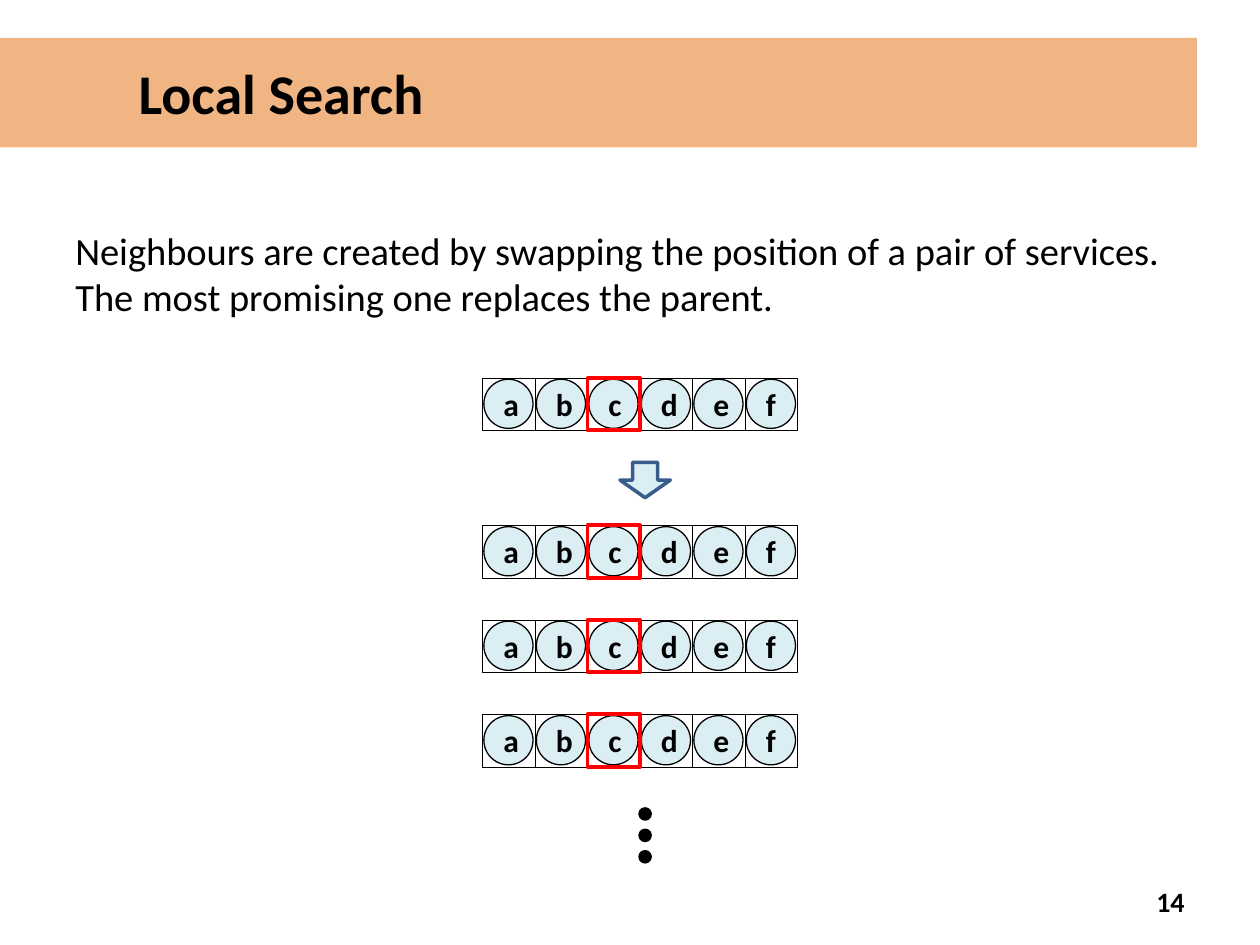
from lxml import etree
from pptx import Presentation
from pptx.dml.color import RGBColor
from pptx.enum.shapes import MSO_SHAPE
from pptx.enum.text import MSO_ANCHOR, PP_ALIGN
from pptx.oxml.ns import qn
from pptx.util import Inches, Pt

RECTANGLE = MSO_SHAPE.RECTANGLE
OVAL = MSO_SHAPE.OVAL
RIGHT_ARROW = MSO_SHAPE.RIGHT_ARROW
LEFT = PP_ALIGN.LEFT
CENTER = PP_ALIGN.CENTER
RIGHT = PP_ALIGN.RIGHT
TOP = MSO_ANCHOR.TOP
MIDDLE = MSO_ANCHOR.MIDDLE

BLACK = RGBColor(0x00, 0x00, 0x00)
WHITE = RGBColor(0xFF, 0xFF, 0xFF)
RED = RGBColor(0xFF, 0x00, 0x00)
ORANGE = RGBColor(0xE4, 0x6C, 0x0A)
PALE_BLUE = RGBColor(0xDB, 0xEE, 0xF4)
DARK_BLUE = RGBColor(0x38, 0x5D, 0x8A)

SERVICES = "abcdef"
HIGHLIGHTED = SERVICES.index("c")
ROW_LEFT = 3.83
PARENT_TOP = 3
NEIGHBOUR_TOPS = [4.17 + 0.75 * index for index in range(3)]
CELL = 2.5 / 6
CIRCLE = 0.39
CIRCLE_INSET = 0.01
DOT = 0.08


class SlideBuilder:
    font_name = "Calibri"

    def __init__(self, slide):
        self.slide = slide

    def set_text(self, shape, text, size, bold, alignment, anchor=MIDDLE):
        text_frame = shape.text_frame
        text_frame.word_wrap = True
        text_frame.vertical_anchor = anchor
        text_frame.text = text
        paragraph = text_frame.paragraphs[0]
        paragraph.alignment = alignment
        font = paragraph.runs[0].font
        font.name = self.font_name
        font.size = Pt(size)
        font.bold = bold
        font.color.rgb = BLACK

    def text(self, box, text, size, bold=False, alignment=LEFT, anchor=TOP):
        shape = self.slide.shapes.add_textbox(*map(Inches, box))
        self.set_text(shape, text, size, bold, alignment, anchor)

    def shape(self, kind, box, fill=None, line=None, width=0, parent=None):
        shapes = (parent or self.slide).shapes
        shape = shapes.add_shape(kind, *map(Inches, box))
        shape.shadow.inherit = False
        if fill is None:
            shape.fill.background()
        else:
            shape.fill.solid()
            shape.fill.fore_color.rgb = fill
        if line is None:
            shape.line.fill.background()
        else:
            shape.line.color.rgb = line
            shape.line.width = Pt(width)
        return shape

    def title(self, box, text):
        band = self.shape(RECTANGLE, box, ORANGE)
        color = band.element.spPr.find(qn("a:solidFill")).find(qn("a:srgbClr"))
        etree.SubElement(color, qn("a:alpha")).set("val", "50000")
        self.set_text(band, text, 32, True, LEFT)
        band.text_frame.margin_left = Inches(1.1)

    def service_row(self, top):
        group = self.slide.shapes.add_group_shape()
        lefts = [ROW_LEFT + CELL * index for index in range(len(SERVICES))]
        for left in lefts:
            self.shape(RECTANGLE, (left, top, CELL, CELL), WHITE, BLACK, 0.25, group)
        for left, service in zip(lefts, SERVICES):
            box = (left + CIRCLE_INSET, top + CIRCLE_INSET, CIRCLE, CIRCLE)
            circle = self.shape(OVAL, box, PALE_BLUE, BLACK, 0.75, group)
            self.set_text(circle, service, 18, True, CENTER)
        box = (lefts[HIGHLIGHTED], top, CELL, CELL)
        self.shape(RECTANGLE, box, line=RED, width=2.25)

    def down_arrow(self, box):
        arrow = self.shape(RIGHT_ARROW, box, PALE_BLUE, DARK_BLUE, 2)
        arrow.rotation = 90

    def dots(self, left, top, gap, count):
        for index in range(count):
            box = (left, top + gap * index, DOT, DOT)
            self.shape(OVAL, box, BLACK, BLACK, 2)


def main():
    presentation = Presentation()
    presentation.slide_width = Inches(10)
    presentation.slide_height = Inches(7.5)
    slide = presentation.slides.add_slide(presentation.slide_layouts[6])
    builder = SlideBuilder(slide)

    builder.title((0, 0.3, 9.5, 0.87), "Local Search")
    builder.text((7.17, 6.95, 2.33, 0.4), "14", 16, True, RIGHT, MIDDLE)
    builder.text(
        (0.5, 1.75, 9, 0.92),
        "Neighbours are created by swapping the position of a pair of services. "
        "The most promising one replaces the parent.",
        22,
    )
    builder.service_row(PARENT_TOP)
    builder.down_arrow((4.98, 3.61, 0.28, 0.4))
    for top in NEIGHBOUR_TOPS:
        builder.service_row(top)
    builder.dots(5.08, 6.42, 0.17, 3)

    presentation.save("out.pptx")


if __name__ == "__main__":
    main()
